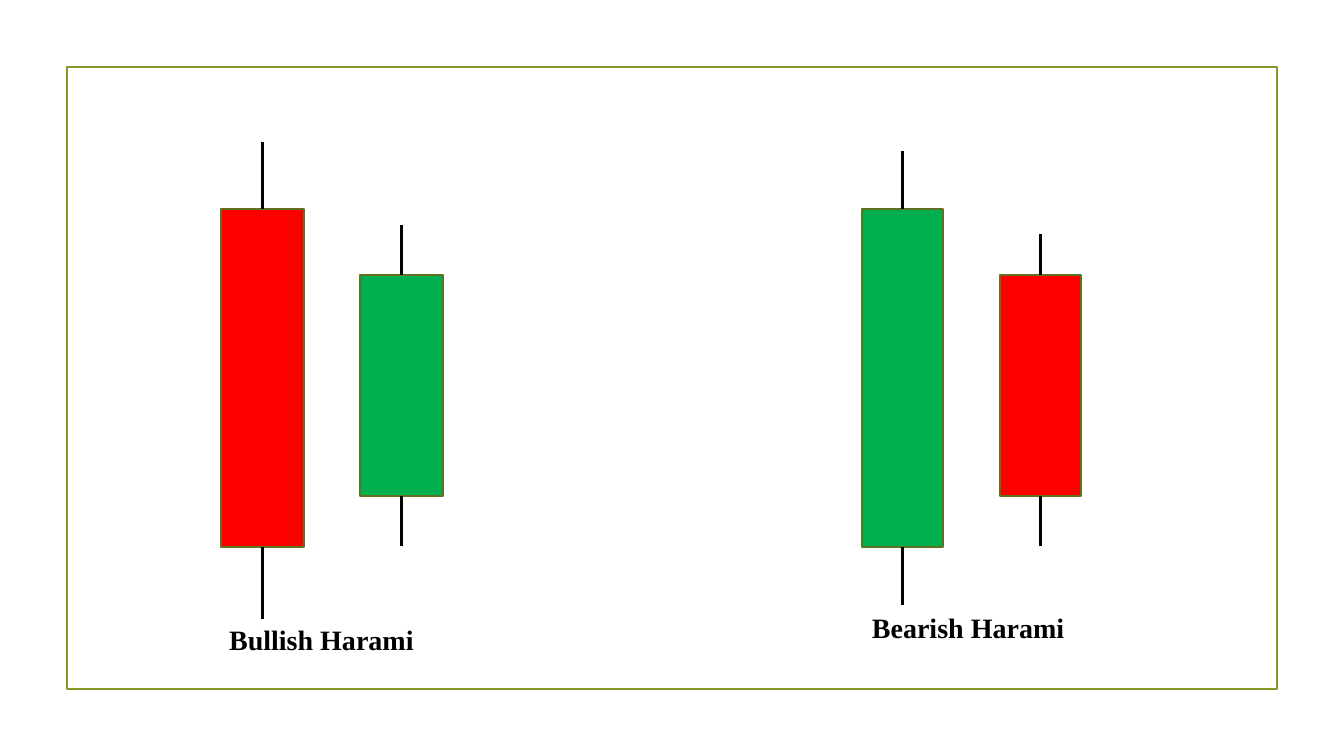
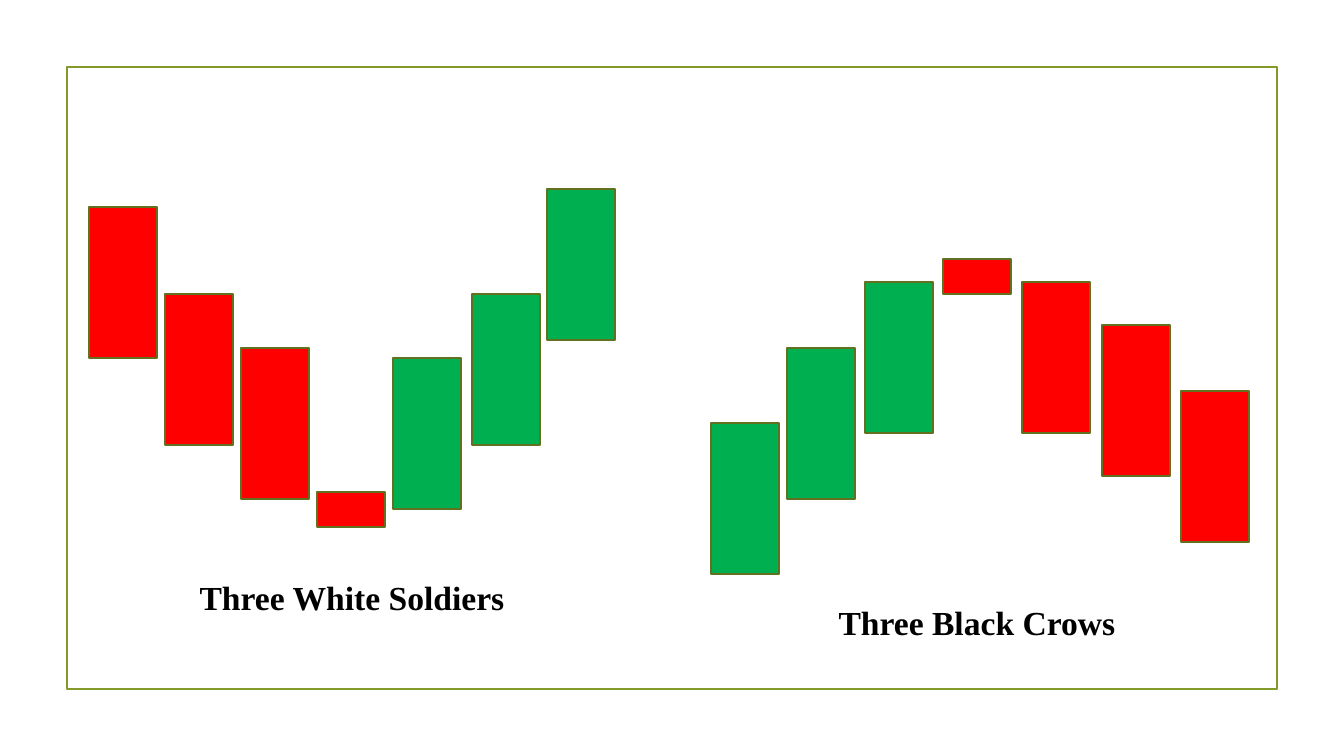
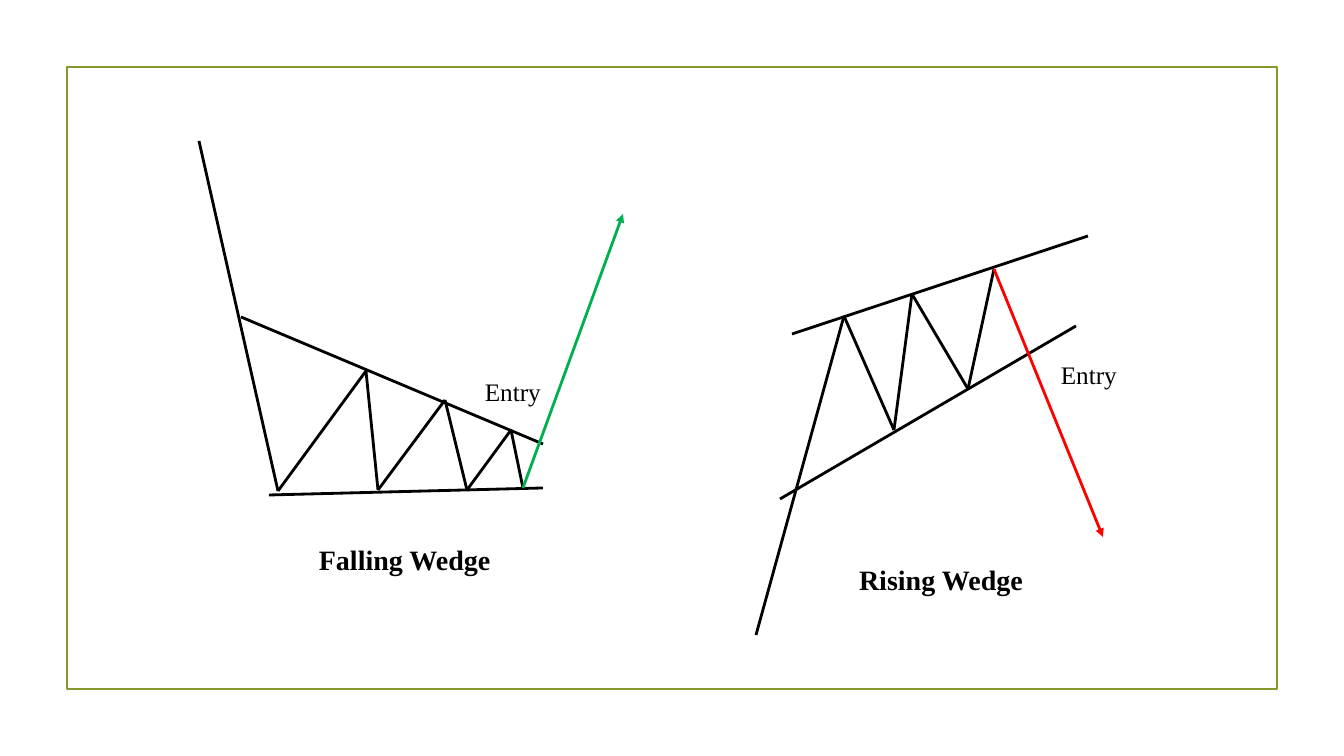
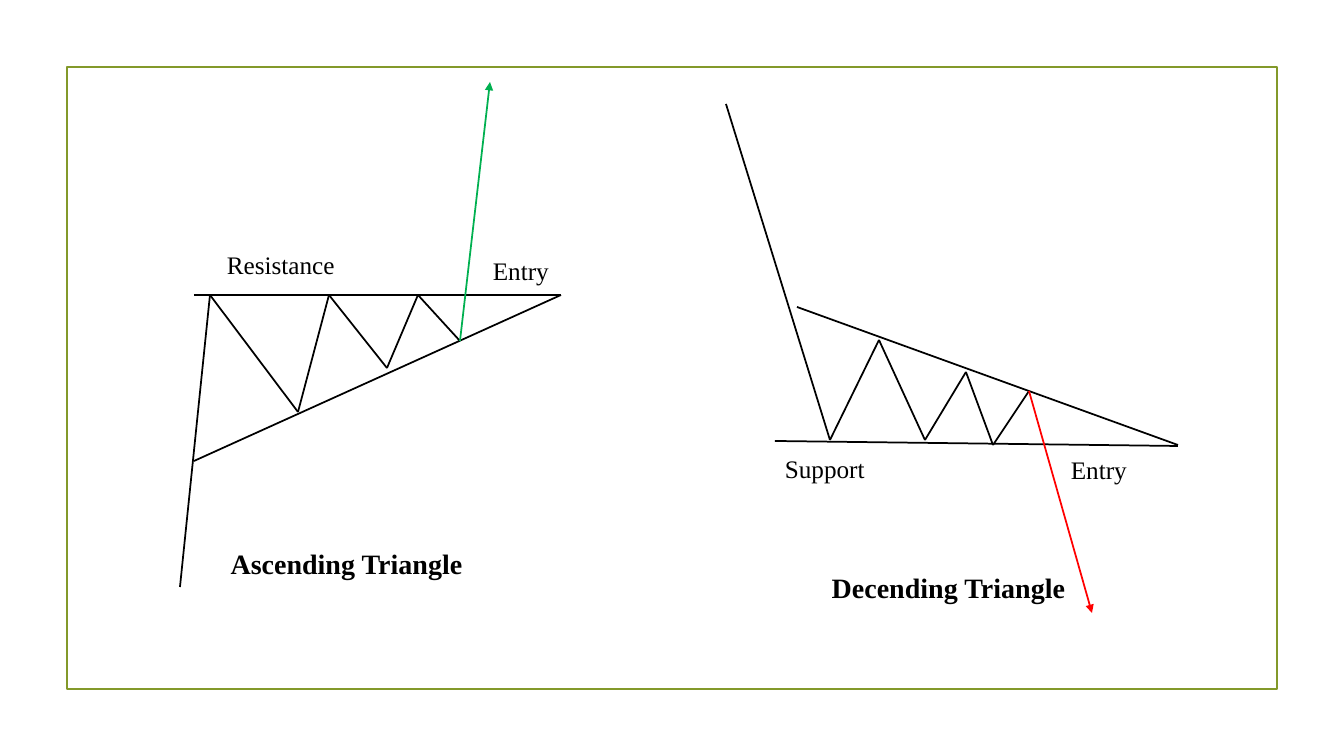
from itertools import pairwise

from lxml import etree
from pptx import Presentation
from pptx.dml.color import RGBColor
from pptx.enum.shapes import MSO_CONNECTOR, MSO_SHAPE
from pptx.enum.text import MSO_ANCHOR, MSO_AUTO_SIZE, PP_ALIGN
from pptx.oxml.ns import qn
from pptx.util import Emu, Pt

STRAIGHT = MSO_CONNECTOR.STRAIGHT
RECTANGLE = MSO_SHAPE.RECTANGLE
MIDDLE = MSO_ANCHOR.MIDDLE
GROW_SHAPE = MSO_AUTO_SIZE.SHAPE_TO_FIT_TEXT
LEFT = PP_ALIGN.LEFT
CENTER = PP_ALIGN.CENTER

BLACK = RGBColor(0x00, 0x00, 0x00)
RED = RGBColor(0xFF, 0x00, 0x00)
GREEN = RGBColor(0x00, 0xB0, 0x50)
OLIVE = RGBColor(0x83, 0x99, 0x2A)
DARK_OLIVE = RGBColor(0x61, 0x71, 0x1F)

FONT = "Times New Roman"
THIN = 1.25
THICK = 2
BLANK_LAYOUT = 6
SLIDE_SIZE = (1344, 756)
FRAME = (67, 67, 1210, 622)


def pixels(length):
    """Turn pixels into EMU at 100.8 pixels to the inch."""
    return Emu(round(length * 914400 / 100.8))


class PatternDeck:
    """Draws trading patterns in one style on the current slide."""

    def __init__(self):
        """Start an empty wide presentation."""
        self.presentation = Presentation()
        self.presentation.slide_width, self.presentation.slide_height = map(
            pixels, SLIDE_SIZE)
        self.slide = None

    def new_slide(self):
        """Add a slide with the shared frame and make it current."""
        layout = self.presentation.slide_layouts[BLANK_LAYOUT]
        self.slide = self.presentation.slides.add_slide(layout)
        self.rectangle(*FRAME, None, OLIVE)

    def rectangle(self, left, top, width, height, fill, outline):
        """Draw a rectangle; a fill of None leaves it open."""
        shape = self.slide.shapes.add_shape(
            RECTANGLE, *map(pixels, (left, top, width, height)))
        shape.shadow.inherit = False
        if fill is None:
            shape.fill.background()
        else:
            shape.fill.solid()
            shape.fill.fore_color.rgb = fill
        shape.line.color.rgb = outline
        shape.line.width = Pt(THIN)

    def line(self, start, end, weight, color=BLACK, arrow=False):
        """Draw a straight line, with an arrowhead at its end if asked."""
        connector = self.slide.shapes.add_connector(
            STRAIGHT, *map(pixels, (*start, *end)))
        connector.line.color.rgb = color
        connector.line.width = Pt(weight)
        properties = connector.element.spPr
        if arrow:
            outline = properties.find(qn("a:ln"))
            etree.SubElement(outline, qn("a:tailEnd"), type="triangle")
        etree.SubElement(properties, qn("a:effectLst"))

    def candle(self, left, top, width, height, color, high=None, low=None):
        """Draw a candle body, with wicks when high and low are given."""
        self.rectangle(left, top, width, height, color, DARK_OLIVE)
        middle = left + width / 2
        if high is not None:
            self.line((middle, top), (middle, high), THICK)
        if low is not None:
            self.line((middle, top + height), (middle, low), THICK)

    def candle_row(self, candles, width=68):
        """Draw wickless candles given as left, top, height and colour."""
        for left, top, height, color in candles:
            self.candle(left, top, width, height, color)

    def breakout(self, trend_lines, price, target, color, weight):
        """Draw trend lines, the price path and the arrow that leaves it."""
        for start, end in trend_lines:
            self.line(start, end, weight)
        for start, end in pairwise(price):
            self.line(start, end, weight)
        self.line(price[-1], target, weight, color, arrow=True)

    def text(self, text, left, top, width, height, size, bold, alignment):
        """Place one paragraph of black text."""
        box = self.slide.shapes.add_textbox(
            *map(pixels, (left, top, width, height)))
        frame = box.text_frame
        frame.word_wrap = True
        frame.auto_size = GROW_SHAPE
        frame.vertical_anchor = MIDDLE
        paragraph = frame.paragraphs[0]
        paragraph.text = text
        paragraph.alignment = alignment
        paragraph.font.name = FONT
        paragraph.font.size = Pt(size)
        paragraph.font.bold = bold
        paragraph.font.color.rgb = BLACK

    def caption(self, text, left, top, width, size=20, alignment=CENTER):
        """Name a pattern in bold."""
        height = 44 if size == 20 else 50
        self.text(text, left, top, width, height, size, True, alignment)

    def label(self, text, left, top):
        """Mark a point of a pattern."""
        self.text(text, left, top, 202, 40, 18, False, LEFT)


def harami_slide(deck):
    """Show the two harami pairs."""
    deck.new_slide()
    deck.candle(221, 209, 83, 338, RED, high=142, low=619)
    deck.candle(360, 275, 83, 221, GREEN, high=225, low=546)
    deck.candle(862, 209, 81, 338, GREEN, high=151, low=605)
    deck.candle(1000, 275, 81, 221, RED, high=234, low=546)
    deck.caption("Bullish Harami", 200, 617, 243)
    deck.caption("Bearish Harami", 862, 605, 233, alignment=LEFT)


def soldiers_and_crows_slide(deck):
    """Show the three-candle reversals."""
    deck.new_slide()
    tall, short = 151, 35
    deck.candle_row([
        (89, 207, tall, RED), (165, 294, tall, RED), (241, 348, tall, RED),
        (317, 492, short, RED),
        (393, 358, tall, GREEN), (472, 294, tall, GREEN),
        (547, 189, tall, GREEN),
    ])
    deck.candle_row([
        (711, 423, tall, GREEN), (787, 348, tall, GREEN),
        (865, 282, tall, GREEN),
        (943, 259, short, RED),
        (1022, 282, tall, RED), (1102, 325, tall, RED),
        (1181, 391, tall, RED),
    ])
    deck.caption("Three White Soldiers", 89, 572, 526, size=24)
    deck.caption("Three Black Crows", 714, 597, 526, size=24)


def wedge_slide(deck):
    """Show the falling and the rising wedge."""
    deck.new_slide()
    deck.breakout(
        trend_lines=[((241, 317), (543, 444)), ((269, 495), (543, 488))],
        price=[(199, 141), (278, 491), (366, 371), (378, 490), (445, 400),
               (467, 490), (511, 430), (523, 488)],
        target=(623, 214), color=GREEN, weight=THICK)
    deck.breakout(
        trend_lines=[((792, 334), (1088, 236)), ((780, 499), (1076, 326))],
        price=[(756, 635), (844, 316), (894, 430), (912, 294), (968, 389),
               (994, 269)],
        target=(1103, 537), color=RED, weight=THICK)
    deck.caption("Falling Wedge", 309, 537, 202, alignment=LEFT)
    deck.caption("Rising Wedge", 840, 557, 202)
    deck.label("Entry", 475, 371)
    deck.label("Entry", 1051, 354)


def triangle_slide(deck):
    """Show the ascending and the descending triangle."""
    deck.new_slide()
    deck.breakout(
        trend_lines=[((194, 295), (561, 295)), ((561, 295), (194, 461))],
        price=[(180, 587), (210, 295), (298, 412), (329, 295), (387, 368),
               (418, 295), (460, 341)],
        target=(490, 82), color=GREEN, weight=THIN)
    deck.breakout(
        trend_lines=[((775, 441), (1178, 446)), ((797, 307), (1178, 445))],
        price=[(726, 104), (830, 440), (879, 340), (925, 440), (966, 372),
               (993, 445), (1029, 391)],
        target=(1092, 613), color=RED, weight=THIN)
    deck.caption("Ascending Triangle", 195, 541, 303)
    deck.caption("Decending Triangle", 797, 565, 303)
    deck.label("Resistance", 217, 244)
    deck.label("Entry", 483, 250)
    deck.label("Support", 775, 448)
    deck.label("Entry", 1061, 449)


def main():
    """Build and save the presentation."""
    deck = PatternDeck()
    harami_slide(deck)
    soldiers_and_crows_slide(deck)
    wedge_slide(deck)
    triangle_slide(deck)
    deck.presentation.save("out.pptx")


main()
